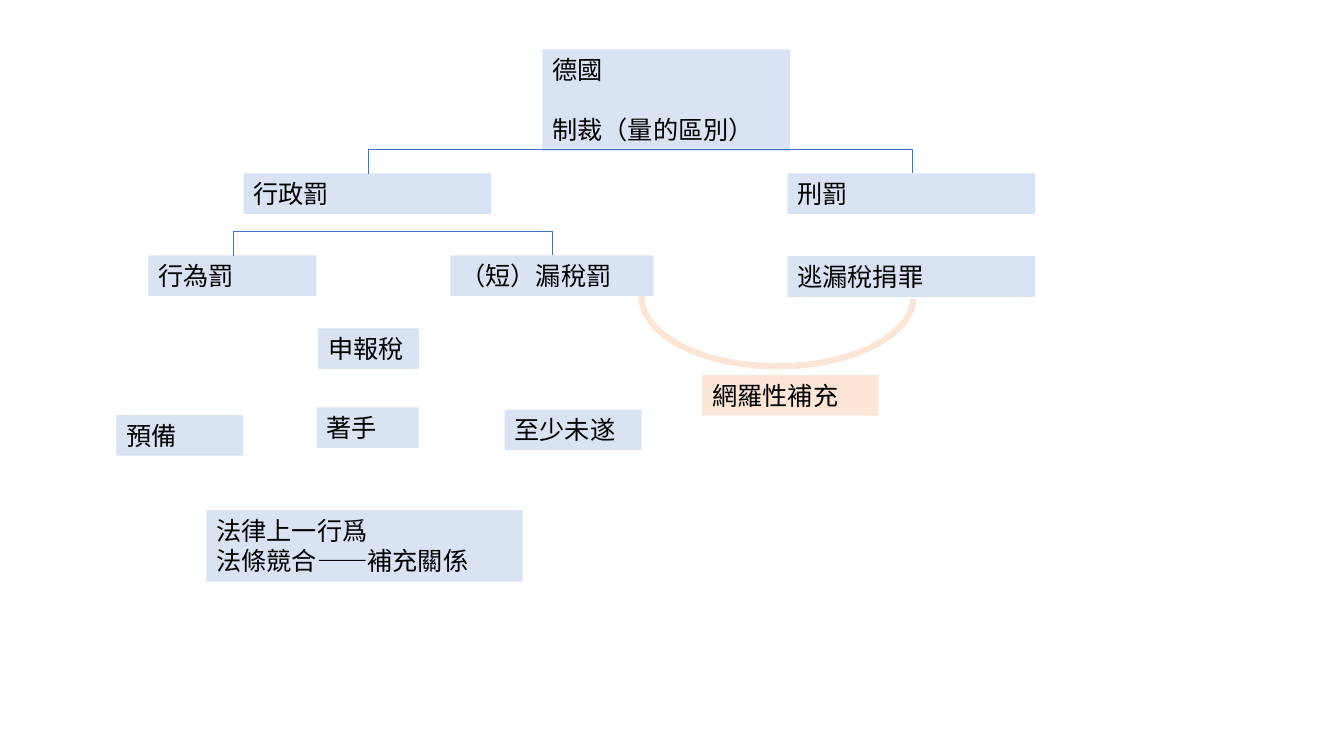
from lxml.etree import SubElement
from pptx import Presentation
from pptx.dml.color import RGBColor
from pptx.enum.shapes import MSO_CONNECTOR, MSO_SHAPE
from pptx.enum.text import MSO_AUTO_SIZE
from pptx.oxml.ns import qn
from pptx.util import Pt

BLUE = RGBColor(0xDA, 0xE3, 0xF3)
PEACH = RGBColor(0xFB, 0xE5, 0xD6)
LINE = RGBColor(0x44, 0x72, 0xC4)
BLACK = RGBColor(0, 0, 0)


class Chart:
    """Draws the boxes, forks and arc of a tree on one slide."""

    def __init__(self, slide, font="Calibri", size=18):
        self.shapes = slide.shapes
        self.font = font
        self.size = size

    def box(self, text, left, top, width, height=29, fill=BLUE, gap=0):
        box = self.shapes.add_textbox(Pt(left), Pt(top), Pt(width), Pt(height))
        box.fill.solid()
        box.fill.fore_color.rgb = fill
        frame = box.text_frame
        frame.word_wrap = True
        frame.auto_size = MSO_AUTO_SIZE.SHAPE_TO_FIT_TEXT
        frame.text = text
        for para in frame.paragraphs:
            para.font.name = self.font
            para.font.size = Pt(self.size)
            para.font.color.rgb = BLACK
        frame.paragraphs[-1].space_before = Pt(gap)

    def fork(self, left, right, foot, rise=18):
        span = right - left
        x = (left + right) / 2 - 0.5
        y = foot - 0.5 - span / 2
        fork = self.shapes.add_connector(
            MSO_CONNECTOR.ELBOW, Pt(x), Pt(y), Pt(x + 1), Pt(y + span))
        fork.line.color.rgb = LINE
        fork.line.width = Pt(0.5)
        props = fork._element.spPr
        frame = props.find(qn("a:xfrm"))
        for key, value in (("rot", "5400000"), ("flipH", "1"), ("flipV", "1")):
            frame.set(key, value)
        guides = props.find(qn("a:prstGeom")).find(qn("a:avLst"))
        SubElement(guides, qn("a:gd"), name="adj1", fmla=f"val {rise * 100000}")
        SubElement(props, qn("a:effectLst"))

    def arc(self, left, top, width, height):
        arc = self.shapes.add_shape(
            MSO_SHAPE.ARC, Pt(left), Pt(top), Pt(width), Pt(height))
        arc.adjustments[0] = 162
        arc.adjustments[1] = 53.31
        arc.rotation = 270
        arc._element.spPr.find(qn("a:xfrm")).set("flipH", "1")
        arc.shadow.inherit = False
        arc.fill.background()
        arc.line.color.rgb = PEACH
        arc.line.width = Pt(4.5)


def main():
    deck = Presentation()
    deck.slide_width = Pt(960)
    deck.slide_height = Pt(540)
    chart = Chart(deck.slides.add_slide(deck.slide_layouts[6]))

    chart.box("德國\n制裁（量的區別）", 387.5, 35.2, 177, 72.7, gap=21.6)
    for text, left, top, width in (
        ("行為罰", 106, 182.4, 120),
        ("行政罰", 174, 123.8, 177),
        ("（短）漏稅罰", 321.7, 182.4, 145),
        ("申報稅", 227.3, 234.5, 72),
        ("預備", 83.2, 296.5, 90.6),
        ("刑罰", 562.5, 123.8, 177),
        ("逃漏稅捐罪", 562.5, 183, 177),
        ("至少未遂", 360.4, 292.5, 98),
        ("著手", 226.1, 291, 73),
    ):
        chart.box(text, left, top, width)
    chart.box("法律上一行爲\n法條競合——補充關係", 147.4, 364.4, 226, 51)
    chart.arc(505.4, 114.5, 100, 194.4)
    chart.box("網羅性補充", 501.7, 268, 126, fill=PEACH)
    chart.fork(166.5, 394.6, 183)
    chart.fork(263, 651.6, 124.4)

    deck.save("out.pptx")


if __name__ == "__main__":
    main()
